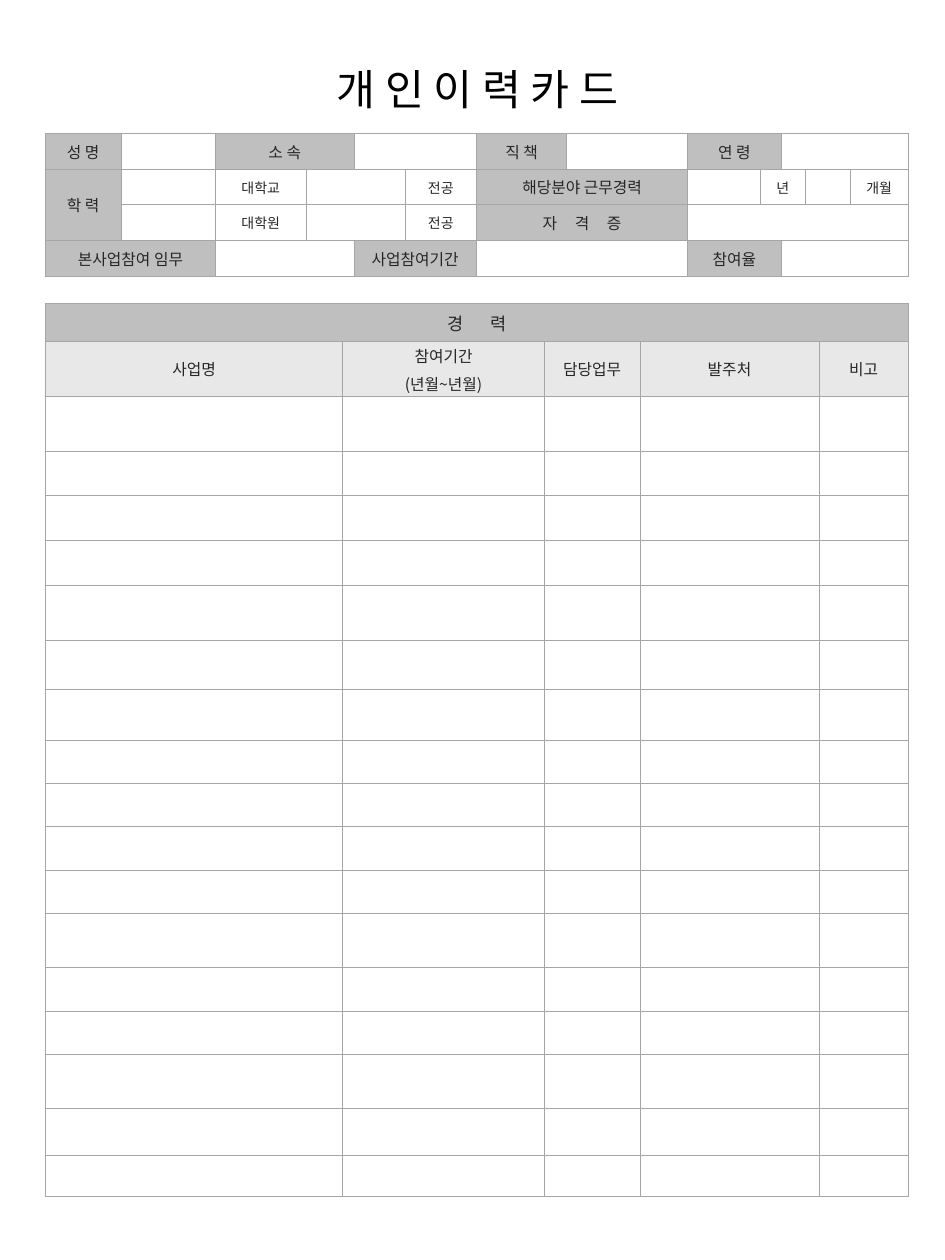
from lxml import etree
from pptx import Presentation
from pptx.dml.color import RGBColor
from pptx.enum.text import MSO_ANCHOR, PP_ALIGN
from pptx.oxml import parse_xml
from pptx.oxml.ns import nsdecls, qn
from pptx.util import Inches, Pt

FONT = "Noto Sans CJK KR"
LABEL, HEADING, WHITE = "BFBFBF", "E8E8E8", "FFFFFF"
LINE, INK = "A6A6A6", "262626"

PROFILE_COLS = [0.6, 0.75, 0.72, 0.38, 0.41, 0.56, 0.72, 0.96, 0.58, 0.16, 0.19, 0.36, 0.46]
PROFILE_ROWS = [0.283] * 4
PROFILE_MERGES = [
    (0, 2, 1, 2), (0, 4, 1, 2), (0, 8, 1, 2), (0, 10, 1, 3),
    (1, 0, 2, 1), (1, 3, 1, 2), (1, 6, 1, 2), (1, 9, 1, 2),
    (2, 3, 1, 2), (2, 6, 1, 2), (2, 8, 1, 5),
    (3, 0, 1, 2), (3, 2, 1, 2), (3, 4, 1, 2), (3, 6, 1, 2), (3, 8, 1, 2), (3, 10, 1, 3),
]
PROFILE_LABELS = {
    (0, 0): "성 명", (0, 2): "소 속", (0, 6): "직 책", (0, 8): "연 령",
    (1, 0): "학 력", (1, 6): "해당분야 근무경력", (2, 6): "자     격     증",
    (3, 0): "본사업참여 임무", (3, 4): "사업참여기간", (3, 8): "참여율",
}
PROFILE_UNITS = {
    (1, 2): "대학교", (1, 5): "전공", (1, 9): "년", (1, 12): "개월",
    (2, 2): "대학원", (2, 5): "전공",
}

CAREER_COLS = [2.36, 1.6, 0.76, 1.42, 0.71]
CAREER_ROWS = [0.3, 0.44, 0.43, 0.35, 0.36, 0.36, 0.43, 0.39, 0.41, 0.34,
               0.34, 0.35, 0.34, 0.43, 0.35, 0.34, 0.43, 0.37, 0.33]
CAREER_HEADINGS = ["사업명", "참여기간\n(년월~년월)", "담당업무", "발주처", "비고"]


def rgb(value):
    return RGBColor.from_string(value)


def write(frame, text, size, color=INK, before=0, spacing=None):
    for index, line in enumerate(text.split("\n")):
        paragraph = frame.add_paragraph() if index else frame.paragraphs[0]
        paragraph.alignment = PP_ALIGN.CENTER
        paragraph.space_before = Pt(before)
        if spacing:
            paragraph.line_spacing = spacing
        run = paragraph.add_run()
        run.text = line
        run.font.size = Pt(size)
        run.font.name = FONT
        run.font.color.rgb = rgb(color)
        etree.SubElement(run.font._element, qn("a:ea")).set("typeface", FONT)


def style_cell(cell):
    cell.fill.solid()
    cell.fill.fore_color.rgb = rgb(WHITE)
    cell.vertical_anchor = MSO_ANCHOR.MIDDLE
    set_margins(cell, 0.05, 0.05)
    properties = cell._tc.get_or_add_tcPr()
    for index, side in enumerate("LRTB"):
        properties.insert(index, parse_xml(
            f'<a:ln{side} {nsdecls("a")} w="6350"><a:solidFill>'
            f'<a:srgbClr val="{LINE}"/></a:solidFill></a:ln{side}>'))


def set_margins(cell, horizontal, vertical):
    cell.margin_left = cell.margin_right = Inches(horizontal)
    cell.margin_top = cell.margin_bottom = Inches(vertical)


def add_grid(slide, left, top, widths, heights, merges):
    frame = slide.shapes.add_table(len(heights), len(widths), Inches(left), Inches(top),
                                   Inches(sum(widths)), Inches(sum(heights)))
    table = frame.table
    table.first_row = table.horz_banding = False
    for column, width in zip(table.columns, widths):
        column.width = Inches(width)
    for row, height in zip(table.rows, heights):
        row.height = Inches(height)
        for cell in row.cells:
            style_cell(cell)
    for row, column, tall, wide in merges:
        table.cell(row, column).merge(table.cell(row + tall - 1, column + wide - 1))
    return table


def fill_cell(cell, text, size, color, before=3):
    cell.fill.fore_color.rgb = rgb(color)
    write(cell.text_frame, text, size, before=before)


def shrink_empty_cells(table):
    for row in table.rows:
        for cell in row.cells:
            if not cell.text_frame.text:
                paragraph = cell.text_frame.paragraphs[0]._p
                etree.SubElement(paragraph, qn("a:endParaRPr")).set("sz", "800")


def add_title(slide):
    box = slide.shapes.add_textbox(Inches(0.44), Inches(0.51), Inches(6.7), Inches(0.46))
    box.text_frame.word_wrap = True
    box.text_frame.vertical_anchor = MSO_ANCHOR.MIDDLE
    write(box.text_frame, "개 인 이 력 카 드", 24.2, "000000", spacing=0.8)


def add_profile(slide):
    table = add_grid(slide, 0.36, 1.06, PROFILE_COLS, PROFILE_ROWS, PROFILE_MERGES)
    for position, text in PROFILE_LABELS.items():
        fill_cell(table.cell(*position), text, 9, LABEL)
    for position, text in PROFILE_UNITS.items():
        fill_cell(table.cell(*position), text, 8, WHITE, before=0)
    shrink_empty_cells(table)


def add_career(slide):
    table = add_grid(slide, 0.36, 2.41, CAREER_COLS, CAREER_ROWS, [(0, 0, 1, 5)])
    fill_cell(table.cell(0, 0), "경       력", 10, LABEL)
    for column, text in enumerate(CAREER_HEADINGS):
        cell = table.cell(1, column)
        set_margins(cell, 0.02, 0.02)
        fill_cell(cell, text, 9, HEADING)
    shrink_empty_cells(table)


def main():
    deck = Presentation()
    deck.slide_width, deck.slide_height = Inches(7.5), Inches(10)
    slide = deck.slides.add_slide(deck.slide_layouts[6])
    add_title(slide)
    add_profile(slide)
    add_career(slide)
    deck.save("out.pptx")


main()
